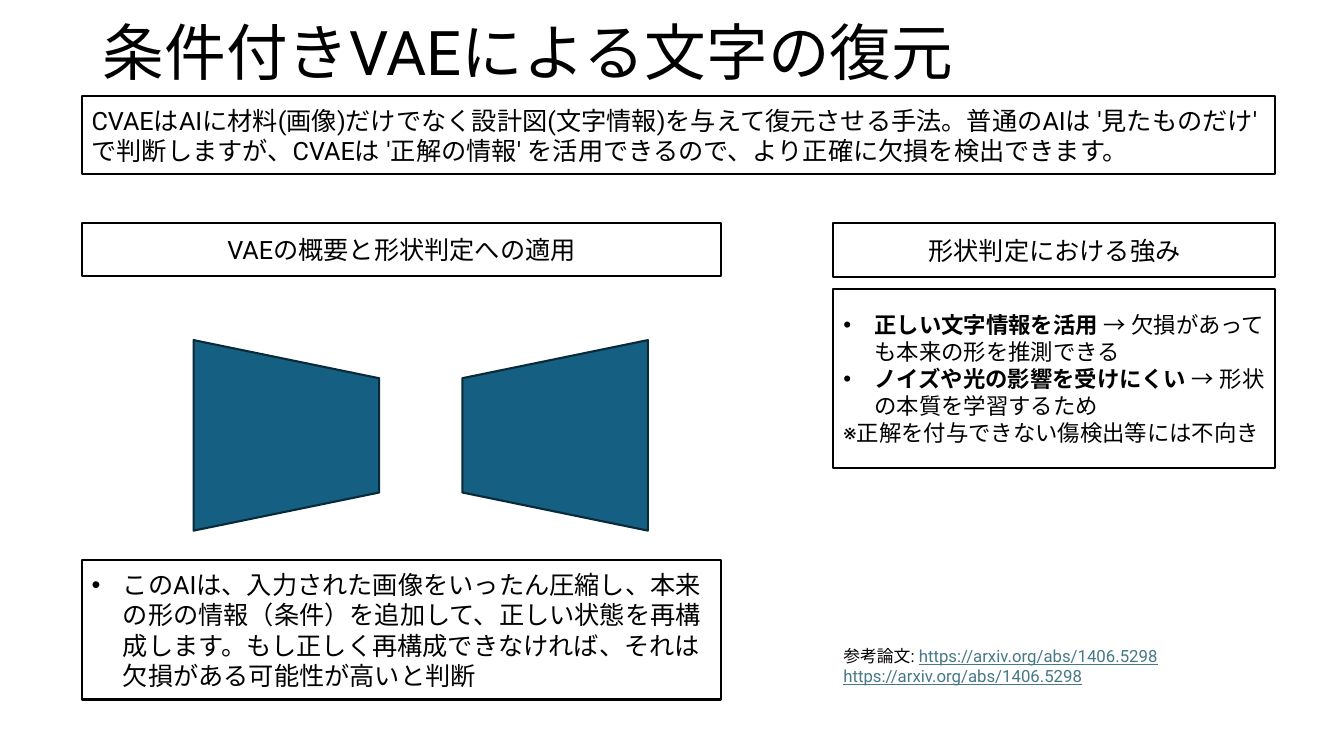
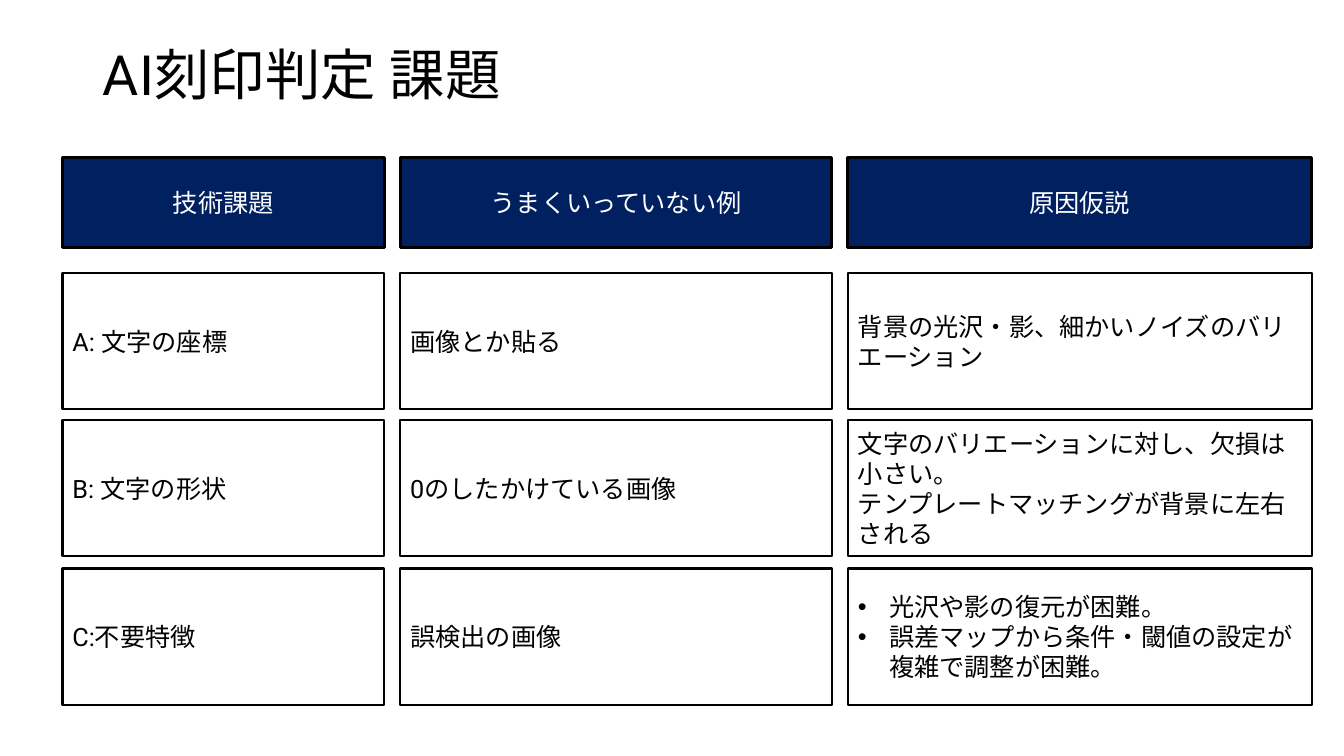
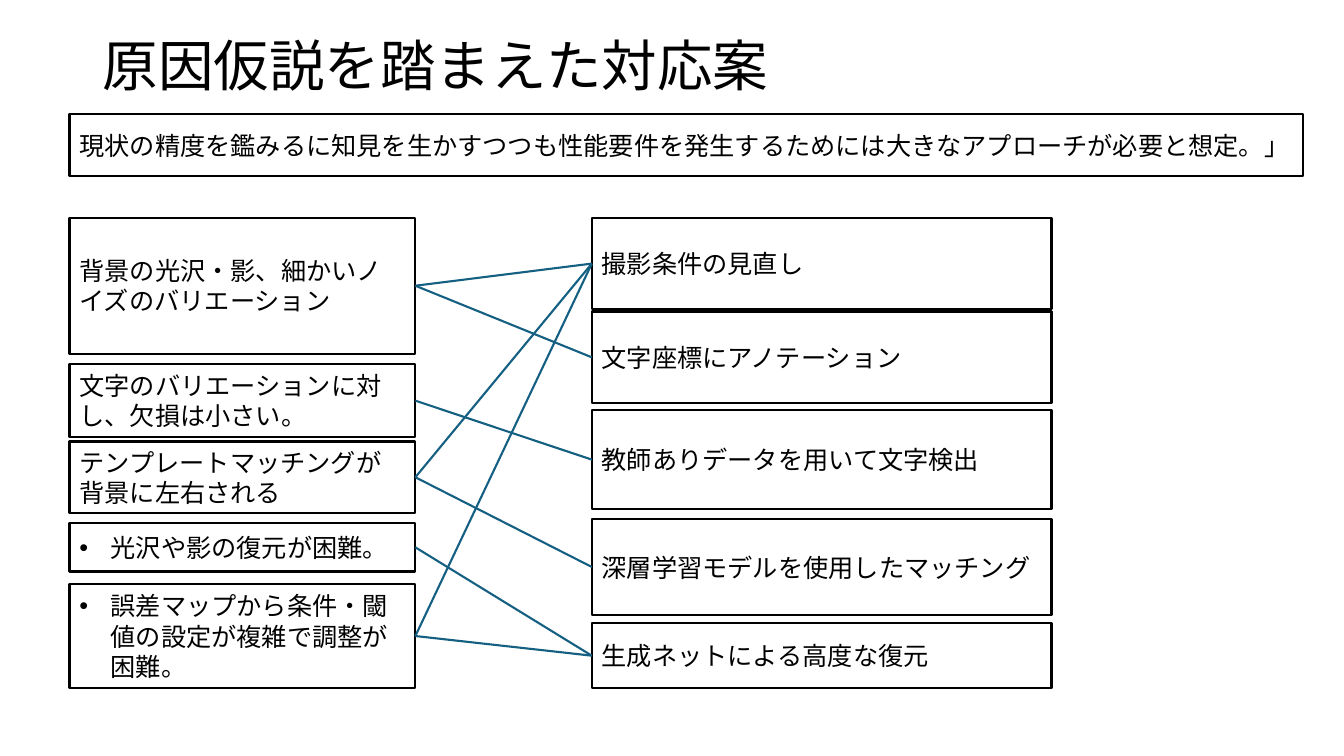
import pptx
import pptx.util
import pptx.dml.color
import pptx.enum.shapes
import pptx.enum.text
import pptx.enum.lang
import pptx.oxml.ns
from dataclasses import dataclass
from lxml import etree

Inch = pptx.util.Inches
Pt = pptx.util.Pt
Shape = pptx.enum.shapes.MSO_SHAPE
Align = pptx.enum.text.PP_ALIGN
qn = pptx.oxml.ns.qn


@dataclass(frozen=True)
class Theme:
    font: str = "Roboto"
    ink: str = "000000"
    white: str = "FFFFFF"
    navy: str = "002060"
    teal: str = "156082"
    edge: str = "092A39"
    link: str = "467886"
    title: float = 39.6
    large: float = 44
    body: float = 18
    list: float = 16
    note: float = 12
    rule: float = 1.5
    thick: float = 2.25
    indent: float = 0.31


T = Theme()


@dataclass(frozen=True)
class Box:
    x: float
    y: float
    w: float
    h: float

    def emu(self):
        return [Inch(v) for v in (self.x, self.y, self.w, self.h)]

    # Sizes alternate part, gap, part, ... and are scaled to fill the box
    def cols(self, *sizes):
        unit = self.w / sum(sizes)
        return [Box(self.x + unit * sum(sizes[:i]), self.y, unit * sizes[i], self.h)
                for i in range(0, len(sizes), 2)]

    def rows(self, *sizes):
        unit = self.h / sum(sizes)
        return [Box(self.x, self.y + unit * sum(sizes[:i]), self.w, unit * sizes[i])
                for i in range(0, len(sizes), 2)]


# Text: a paragraph is a string or a list of (text, style) runs;
# a leading "•" makes it a bullet

def rgb(code):
    return pptx.dml.color.RGBColor.from_string(code)


def bullet(para):
    props = para._p.get_or_add_pPr()
    props.set("marL", str(Inch(T.indent)))
    props.set("indent", str(-Inch(T.indent)))
    etree.SubElement(props, qn("a:buFont")).set("typeface", "Arial")
    etree.SubElement(props, qn("a:buChar")).set("char", "•")


def style(para, size, color, align):
    para.alignment = align
    font = para.font
    font.size, font.name = Pt(size), T.font
    font.color.rgb = rgb(color)
    font.language_id = pptx.enum.lang.MSO_LANGUAGE_ID.JAPANESE
    base = para._p.pPr.find(qn("a:defRPr"))
    etree.SubElement(base, qn("a:ea")).set("typeface", T.font)


def write(frame, paras, size=T.body, color=T.ink, align=Align.LEFT):
    frame.word_wrap = True
    frame.vertical_anchor = pptx.enum.text.MSO_ANCHOR.MIDDLE
    for i, runs in enumerate(paras):
        para = frame.add_paragraph() if i else frame.paragraphs[0]
        runs = [(runs, "")] if isinstance(runs, str) else runs
        if runs[0][0].startswith("•"):
            bullet(para)
        for text, kind in runs:
            run = para.add_run()
            run.text = text.lstrip("•")
            if kind == "bold":
                run.font.bold = True
            elif kind == "link":
                run.font.underline = True
                run.font.color.rgb = rgb(T.link)
        style(para, size, color, align)


# Shared parts

def start(deck, text, top, height, size=T.title):
    slide = deck.slides.add_slide(deck.slide_layouts[5])
    head = slide.shapes.title
    head.left, head.top, head.width, head.height = Box(0.92, top, 11.5, height).emu()
    head.text_frame.auto_size = pptx.enum.text.MSO_AUTO_SIZE.NONE
    write(head.text_frame, [text], size)
    head.text_frame.paragraphs[0].line_spacing = 0.9
    return slide


def solid(slide, kind, box, fill=None, line=T.ink, width=T.rule):
    shape = slide.shapes.add_shape(kind, *box.emu())
    shape.shadow.inherit = False
    if fill:
        shape.fill.solid()
        shape.fill.fore_color.rgb = rgb(fill)
    else:
        shape.fill.background()
    shape.line.color.rgb = rgb(line)
    shape.line.width = Pt(width)
    return shape


def panel(slide, box, *paras, size=T.body, align=Align.LEFT):
    shape = solid(slide, Shape.RECTANGLE, box)
    write(shape.text_frame, paras, size, align=align)
    return shape


def banner(slide, box, text):
    shape = solid(slide, Shape.RECTANGLE, box, T.navy, width=T.thick)
    write(shape.text_frame, [text], color=T.white, align=Align.CENTER)


def join(slide, left, right):
    line = slide.shapes.add_connector(pptx.enum.shapes.MSO_CONNECTOR.STRAIGHT, 0, 0, 0, 0)
    line.begin_connect(left, 3)
    line.end_connect(right, 1)
    line.line.color.rgb = rgb(T.teal)
    line.line.width = Pt(T.rule)
    etree.SubElement(line._element.spPr, qn("a:effectLst"))


# Slide 1: method

def funnels(slide, box):
    w, h = 1.89, 1.84
    for share, turn in ((0.32, 270), (0.74, 90)):
        area = Box(box.x + box.w * share - w / 2, box.y + box.h * 0.56 - h / 2, w, h)
        shape = solid(slide, Shape.FLOWCHART_MANUAL_OPERATION, area, T.teal, T.edge)
        shape.rotation = turn


def outline(slide, box):
    head, art, note = box.rows(0.53, 0, 2.82, 0, 1.38)
    panel(slide, head, "VAEの概要と形状判定への適用", align=Align.CENTER)
    funnels(slide, art)
    panel(slide, note, "•このAIは、入力された画像をいったん圧縮し、本来の形の情報（条件）を追加して、"
          "正しい状態を再構成します。もし正しく再構成できなければ、それは欠損がある可能性が高いと判断")


def merits(slide, box):
    head, points, refs = box.rows(0.54, 0.12, 1.77, 1.73, 0.47, 0.1)
    panel(slide, head, "形状判定における強み", align=Align.CENTER)
    panel(slide, points,
          [("•正しい文字情報を活用", "bold"), (" → 欠損があっても本来の形を推測できる", "")],
          [("•ノイズや光の影響を受けにくい", "bold"), (" → 形状の本質を学習するため", "")],
          "※正解を付与できない傷検出等には不向き", size=T.list)
    url = ("https://arxiv.org/abs/1406.5298", "link")
    text = slide.shapes.add_textbox(*refs.emu())
    write(text.text_frame, [[("参考論文: ", ""), url], [url]], T.note)


def method(deck):
    slide = start(deck, "条件付きVAEによる文字の復元", 0.17, 0.77, T.large)
    lead, main = Box(0.81, 0.95, 11.84, 5.99).rows(0.78, 0.48, 4.73)
    panel(slide, lead, "CVAEはAIに材料(画像)だけでなく設計図(文字情報)を与えて復元させる手法。"
          "普通のAIは '見たものだけ' で判断しますが、CVAEは '正解の情報' を活用できるので、"
          "より正確に欠損を検出できます。")
    left, right = main.cols(6.34, 1.11, 4.38)
    outline(slide, left)
    merits(slide, right)


# Wording shared by the issue and plan slides
NOISE = "背景の光沢・影、細かいノイズのバリエーション"
SMALL = "文字のバリエーションに対し、欠損は小さい。"
MATCH = "テンプレートマッチングが背景に左右される"
GLOSS = "•光沢や影の復元が困難。"
LIMIT = "•誤差マップから条件・閾値の設定が複雑で調整が困難。"


# Slide 2: issues

def issues(deck):
    slide = start(deck, "AI刻印判定 課題", 0.4, 0.74)
    heads = ("技術課題", "うまくいっていない例", "原因仮説")
    body = (
        (["A: 文字の座標"], ["画像とか貼る"], [NOISE]),
        (["B: 文字の形状"], ["0のしたかけている画像"], [SMALL, MATCH]),
        (["C:不要特徴"], ["誤検出の画像"], [GLOSS, LIMIT]),
    )
    widths = (3.19, 0.16, 4.28, 0.16, 4.6)
    top, *rows = Box(0.62, 1.56, 12.39, 5.43).rows(0.9, 0.25, 1.35, 0.11, 1.35, 0.12, 1.35)
    for box, text in zip(top.cols(*widths), heads):
        banner(slide, box, text)
    for row, cells in zip(rows, body):
        for box, paras in zip(row.cols(*widths), cells):
            panel(slide, box, *paras)


# Slide 3: plan

def stack(slide, boxes, texts):
    return [panel(slide, box, text) for box, text in zip(boxes, texts)]


def plan(deck):
    slide = start(deck, "原因仮説を踏まえた対応案", 0.4, 0.56)
    panel(slide, Box(0.69, 1.13, 12.23, 0.62),
          "現状の精度を鑑みるに知見を生かすつつも性能要件を発生するためには"
          "大きなアプローチが必要と想定。」")
    left, right = Box(0.69, 2.16, 9.74, 4.67).cols(3.43, 1.75, 4.56)
    causes = stack(slide, left.rows(1.35, 0.1, 0.73, 0.04, 0.71, 0.1, 0.48, 0.12, 1.04),
                   (NOISE, SMALL, MATCH, GLOSS, LIMIT))
    fixes = stack(slide, right.rows(0.91, 0.02, 0.91, 0.07, 0.98, 0.1, 0.95, 0.08, 0.65),
                  ("撮影条件の見直し", "文字座標にアノテーション",
                   "教師ありデータを用いて文字検出", "深層学習モデルを使用したマッチング",
                   "生成ネットによる高度な復元"))
    # Cause and fix pairs
    for a, b in ((0, 0), (0, 1), (1, 2), (2, 3), (3, 4), (4, 4), (2, 0), (4, 0)):
        join(slide, causes[a], fixes[b])


def main():
    deck = pptx.Presentation()
    deck.slide_width, deck.slide_height = Inch(13.33), Inch(7.5)
    method(deck)
    issues(deck)
    plan(deck)
    deck.save("out.pptx")


if __name__ == "__main__":
    main()
